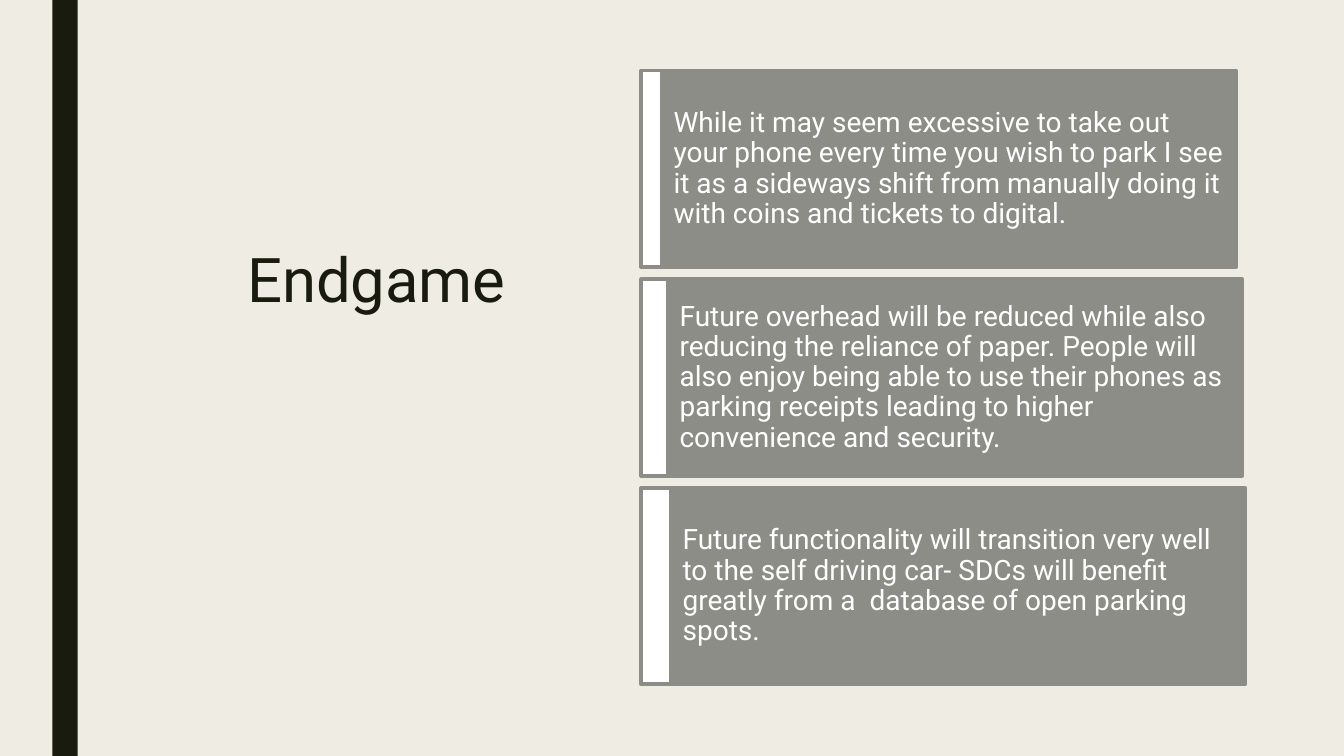
"""Build the Endgame slide: a title beside three stacked cards."""
from pptx import Presentation
from pptx.dml.color import RGBColor
from pptx.enum.shapes import MSO_SHAPE
from pptx.enum.text import MSO_ANCHOR, MSO_AUTO_SIZE, PP_ALIGN
from pptx.util import Inches, Pt

CREAM = RGBColor(0xEF, 0xED, 0xE3)
INK = RGBColor(0x19, 0x1B, 0x0E)
GRAY = RGBColor(0x8C, 0x8D, 0x86)
WHITE = RGBColor(0xFF, 0xFF, 0xFF)
RECT = MSO_SHAPE.RECTANGLE
MIDDLE = MSO_ANCHOR.MIDDLE
NO_FIT = MSO_AUTO_SIZE.NONE
LEFT, CENTER = PP_ALIGN.LEFT, PP_ALIGN.CENTER

CARD_LEFT, CARD_TOP, CARD_STEP = 6.36, 0.7, 2.07
CARD_WIDTH, CARD_HEIGHT = 5.69, 1.95
CARDS = [
    (0.21, "While it may seem excessive to take out your phone every time you wish "
           "to park I see it as a sideways shift from manually doing it with coins "
           "and tickets to digital."),
    (0.27, "Future overhead will be reduced while also reducing the reliance of "
           "paper. People will also enjoy being able to use their phones as parking "
           "receipts leading to higher convenience and security."),
    (0.3, "Future functionality will transition very well to the self driving car- "
          "SDCs will benefit greatly from a  database of open parking spots."),
]


class Deck:
    """Hold the font and the current slide, and add styled elements."""

    def __init__(self, prs, font):
        self.font = font
        self.s = prs.slides.add_slide(prs.slide_layouts[5])
        fill = self.s.background.fill
        fill.solid()
        fill.fore_color.rgb = CREAM

    def format(self, target, values):
        for name, value in values.items():
            setattr(target, name, value)

    def text(self, sp, text, size, color, align, spacing):
        tf = sp.text_frame
        self.format(tf, {"word_wrap": True, "auto_size": NO_FIT,
                         "vertical_anchor": MIDDLE,
                         "margin_left": Inches(0.11), "margin_right": Inches(0.11)})
        p = tf.paragraphs[0]
        self.format(p, {"alignment": align, "line_spacing": spacing})
        r = p.add_run()
        r.text = text
        self.format(r.font, {"name": self.font, "size": Pt(size)})
        r.font.color.rgb = color

    def title(self, text, left, top, width, height):
        sp = self.s.shapes.title
        self.format(sp, {"left": Inches(left), "top": Inches(top),
                         "width": Inches(width), "height": Inches(height)})
        self.text(sp, text, 44, INK, CENTER, 0.89)

    def box(self, left, top, width, height, fill, line=None):
        sp = self.s.shapes.add_shape(RECT, Inches(left), Inches(top),
                                     Inches(width), Inches(height))
        sp.shadow.inherit = False
        sp.fill.solid()
        sp.fill.fore_color.rgb = fill
        if line is None:
            sp.line.fill.background()
        else:
            sp.line.color.rgb = line
            sp.line.width = Pt(2.75)
        return sp

    def card(self, top, tab_width, text):
        body = self.box(CARD_LEFT + tab_width, top, CARD_WIDTH, CARD_HEIGHT, GRAY, GRAY)
        self.text(body, text, 20, WHITE, LEFT, 0.9)
        self.box(CARD_LEFT, top, tab_width, CARD_HEIGHT, WHITE, GRAY)


prs = Presentation()
prs.slide_width, prs.slide_height = Inches(13.33), Inches(7.5)
deck = Deck(prs, "Roboto")
deck.box(0.52, 0, 0.25, 7.5, INK)
deck.title("Endgame", 1.5, 0.75, 4.47, 4.11)
for row, (tab_width, text) in enumerate(CARDS):
    deck.card(CARD_TOP + row * CARD_STEP, tab_width, text)
prs.save("out.pptx")
